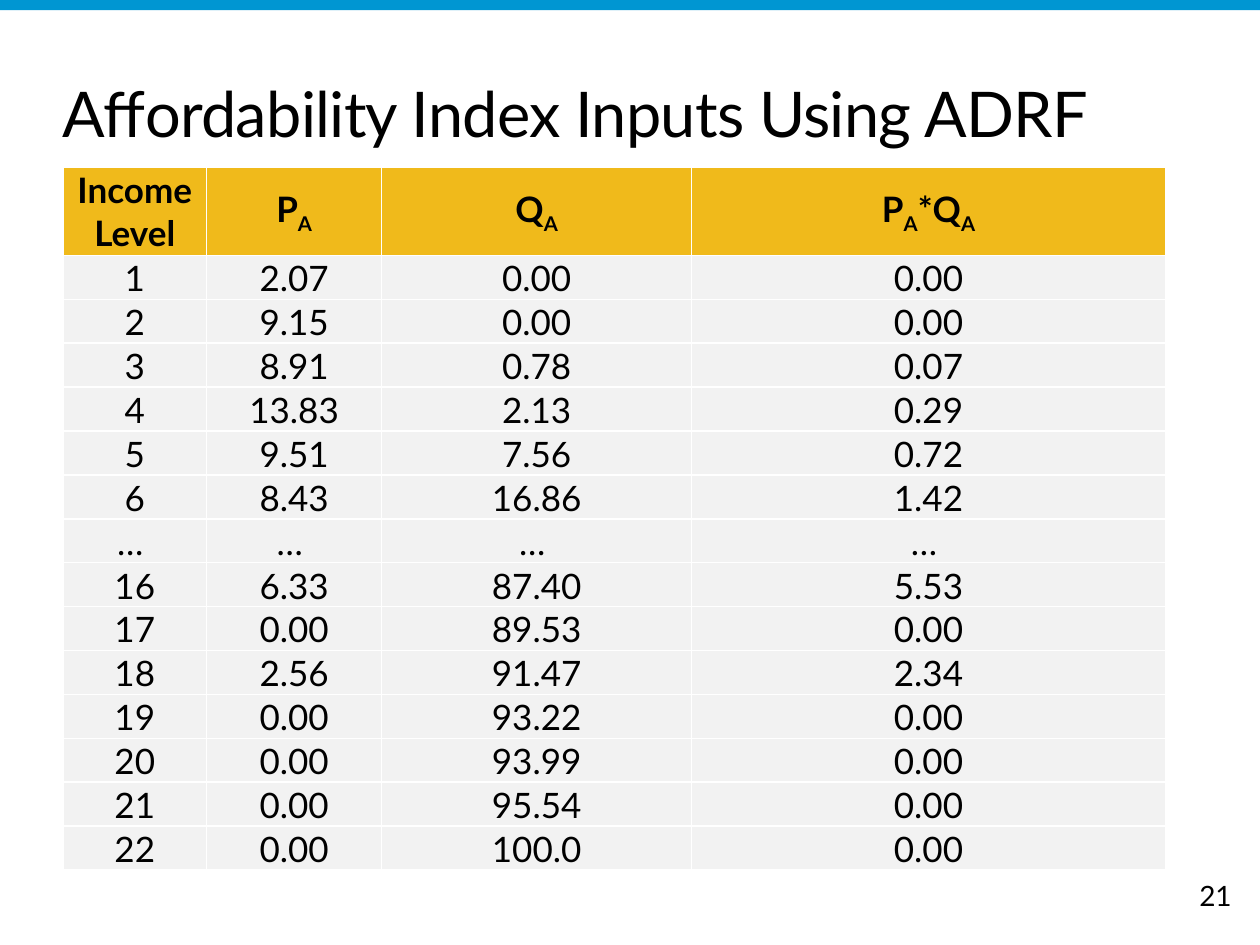
"""Build the slide with the affordability index input table."""
from dataclasses import dataclass

from lxml.etree import SubElement
from pptx import Presentation
from pptx.dml.color import RGBColor as RGB
from pptx.enum.shapes import MSO_SHAPE as Shape
from pptx.enum.text import MSO_ANCHOR as Anchor, PP_ALIGN as Align
from pptx.oxml.ns import qn
from pptx.util import Inches, Pt


@dataclass(frozen=True)
class Theme:
    font: str = "Lato"
    ink: str = "000000"
    bar: str = "0096D2"
    header: str = "F0BA1B"
    body: str = "F2F2F2"
    rule: str = "FFFFFF"
    title_size: int = 36
    table_size: int = 20
    number_size: int = 16


HEADER = [("Income Level",), ("P", "A"), ("Q", "A"), ("P", "A", "*Q", "A")]
ROWS = """1 2.07 0.00 0.00
2 9.15 0.00 0.00
3 8.91 0.78 0.07
4 13.83 2.13 0.29
5 9.51 7.56 0.72
6 8.43 16.86 1.42
… … … …
16 6.33 87.40 5.53
17 0.00 89.53 0.00
18 2.56 91.47 2.34
19 0.00 93.22 0.00
20 0.00 93.99 0.00
21 0.00 95.54 0.00
22 0.00 100.0 0.00"""
COLUMN_SHARES = (1.14, 1.39, 2.46, 3.76)


class Deck:
    def __init__(self, theme, cols=20, rows=15):
        self.theme = theme
        self.prs = Presentation()
        self.prs.slide_width, self.prs.slide_height = Inches(10), Inches(7.5)
        self.col = self.prs.slide_width / cols
        self.row = self.prs.slide_height / rows
        self.s = self.prs.slides.add_slide(self.prs.slide_layouts[6])

    def box(self, x, y, w, h):
        return (round(x * self.col), round(y * self.row),
                round(w * self.col), round(h * self.row))

    def run(self, p, text, size, bold=False, subscript=False, spacing=0):
        r = p.add_run()
        r.text = text
        r.font.name, r.font.size, r.font.bold = self.theme.font, Pt(size), bold
        r.font.color.rgb = RGB.from_string(self.theme.ink)
        if subscript:
            r.font._element.set("baseline", "-25000")
        if spacing:
            r.font._element.set("spc", str(round(spacing * 100)))

    def bar(self, *grid):
        sp = self.s.shapes.add_shape(Shape.RECTANGLE, *self.box(*grid))
        sp.shadow.inherit = False
        sp.fill.solid()
        sp.fill.fore_color.rgb = RGB.from_string(self.theme.bar)
        sp.line.fill.background()

    def text(self, text, size, *grid, inset=True, anchor=Anchor.TOP, spacing=0):
        tf = self.s.shapes.add_textbox(*self.box(*grid)).text_frame
        tf.word_wrap = True
        tf.vertical_anchor = anchor
        if not inset:
            tf.margin_left = tf.margin_right = tf.margin_top = tf.margin_bottom = 0
        self.run(tf.paragraphs[0], text, size, spacing=spacing)

    def borders(self, cell):
        tc_pr = cell._tc.get_or_add_tcPr()
        for i, side in enumerate(("lnL", "lnR", "lnT", "lnB")):
            ln = tc_pr.makeelement(qn(f"a:{side}"), {"w": str(Pt(1))})
            fill = SubElement(ln, qn("a:solidFill"))
            SubElement(fill, qn("a:srgbClr"), val=self.theme.rule)
            tc_pr.insert(i, ln)

    def cell(self, cell, runs, header):
        cell.margin_left = cell.margin_right = cell.margin_top = cell.margin_bottom = 0
        cell.vertical_anchor = Anchor.MIDDLE if header else Anchor.BOTTOM
        cell.fill.solid()
        color = self.theme.header if header else self.theme.body
        cell.fill.fore_color.rgb = RGB.from_string(color)
        self.borders(cell)
        p = cell.text_frame.paragraphs[0]
        p.alignment = Align.CENTER
        for i, text in enumerate(runs):
            self.run(p, text, self.theme.table_size, header, subscript=i % 2 == 1)

    def table(self, header, rows, shares, *grid):
        x, y, w, h = self.box(*grid)
        table = self.s.shapes.add_table(len(rows) + 1, len(header), x, y, w, h).table
        table.horz_banding = False
        for column, share in zip(table.columns, shares):
            column.width = round(w * share / sum(shares))
        unit = h / (len(rows) + 2)
        for i, values in enumerate([header, *rows]):
            table.rows[i].height = round(unit * (2 if i == 0 else 1))
            for j, runs in enumerate(values):
                self.cell(table.cell(i, j), runs, header=i == 0)


def main():
    theme = Theme()
    deck = Deck(theme)
    deck.bar(0, 0, 20, 0.16)
    deck.text("Affordability Index Inputs Using ADRF", theme.title_size,
              1, 1.16, 18, 1.24, inset=False, anchor=Anchor.MIDDLE, spacing=-0.4)
    rows = [[(value.replace("…", "… "),) for value in line.split()]
            for line in ROWS.splitlines()]
    deck.table(HEADER, rows, COLUMN_SHARES, 1, 2.66, 17.5, 11.16)
    deck.text("21", theme.number_size, 18.84, 13.84, 1, 0.74)
    deck.prs.save("out.pptx")


if __name__ == "__main__":
    main()
